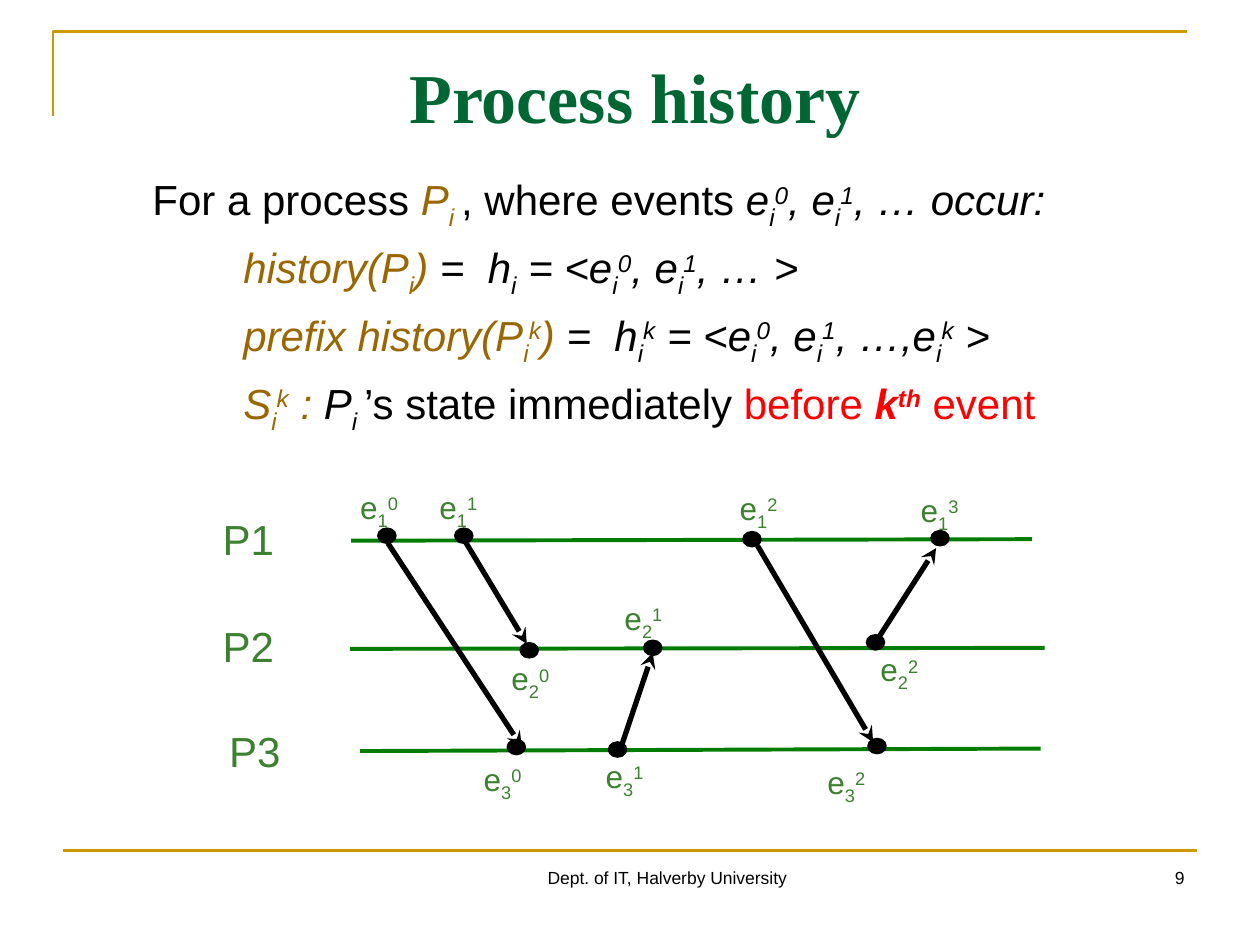
from itertools import groupby

from lxml.etree import SubElement
from pptx import Presentation
from pptx.dml.color import RGBColor
from pptx.enum.shapes import MSO_CONNECTOR, MSO_SHAPE
from pptx.enum.text import MSO_ANCHOR, MSO_AUTO_SIZE, PP_ALIGN
from pptx.oxml.ns import qn
from pptx.util import Cm, Pt

BLACK, RED, GOLD, BROWN = "000000", "FF0000", "CC9900", "996600"
TITLE_GREEN, LINE_GREEN, LABEL_GREEN = "006633", "037C03", "3B812F"
BASELINES = {"_": "-25000", "^": "28000"}

# Segments are (markup, colour, italic, bold); _ and ^ lower or raise the next character.
DEFINITIONS = [
    (0.71, [("For a process ", BLACK, False, False), ("P_i_ ", BROWN, True, False),
            (", where events ", BLACK, False, False),
            ("e_i^0, e_i^1, … occur:", BLACK, True, False)]),
    (2.54, [("history(P_i)", BROWN, True, False),
            (" =  h_i = <e_i^0, e_i^1, … >", BLACK, True, False)]),
    (2.54, [("prefix history(P_i^k)", BROWN, True, False),
            (" =  h_i^k = <e_i^0, e_i^1, …,e_i^k >", BLACK, True, False)]),
    (2.54, [("S_i^k : ", BROWN, True, False), ("P_i_ ", BLACK, True, False),
            ("’s state immediately ", BLACK, False, False),
            ("before ", RED, False, False), ("k^t^h", RED, True, True),
            (" event", RED, False, False)]),
]

# Diagram positions are in cm from the top left of the diagram.
PROCESSES = [  # name, label position, line start, line end
    ("P1", (0, 0.61), (2.84, 1.17), (16.56, 1.14)),
    ("P2", (0, 2.77), (2.82, 3.35), (16.82, 3.33)),
    ("P3", (0.13, 4.88), (3.02, 5.41), (16.74, 5.36)),
]
EVENTS = [  # name, dot centre, label position
    ("e_1^0", (3.56, 1.07), (2.77, 0)),
    ("e_1^1", (5.11, 1.07), (4.37, 0)),
    ("e_1^2", (10.92, 1.14), (10.42, 0.02)),
    ("e_1^3", (14.71, 1.12), (14.07, 0.05)),
    ("e_2^0", (6.43, 3.38), (5.82, 3.45)),
    ("e_2^1", (8.92, 3.33), (8.1, 2.23)),
    ("e_2^2", (13.41, 3.22), (13.26, 3.27)),
    ("e_3^0", (6.17, 5.33), (5.26, 5.48)),
    ("e_3^1", (8.21, 5.38), (7.72, 5.41)),
    ("e_3^2", (13.44, 5.31), (12.19, 5.54)),
]
MESSAGES = [
    ((3.58, 1.22), (6.28, 5.33)),
    ((5.11, 1.14), (6.38, 3.25)),
    ((8.28, 5.33), (8.92, 3.43)),
    ((13.39, 3.25), (14.63, 1.32)),
    ((11.03, 1.27), (13.36, 5.23)),
]


def rgb(value):
    return RGBColor.from_string(value)


def add_marked_runs(paragraph, markup, color, italic=False, bold=False):
    """Add runs, turning _x and ^x into subscript and superscript."""
    characters, level = [], ""
    for character in markup:
        if character in BASELINES:
            level = character
        else:
            characters.append((level, character))
            level = ""
    for level, group in groupby(characters, key=lambda item: item[0]):
        run = paragraph.add_run()
        run.text = "".join(character for _, character in group)
        run.font.color.rgb = rgb(color)
        run.font.italic = italic
        run.font.bold = bold
        if level:
            run.font._element.set("baseline", BASELINES[level])


def place(shape, box):
    shape.left, shape.top, shape.width, shape.height = box


def add_label(shapes, box, markup, size, color, align=PP_ALIGN.LEFT):
    text_frame = shapes.add_textbox(*box).text_frame
    text_frame.word_wrap = True
    paragraph = text_frame.paragraphs[0]
    paragraph.alignment = align
    paragraph.font.size = Pt(size)
    paragraph.font.name = "Arial"
    add_marked_runs(paragraph, markup, color)
    return paragraph


def add_line(shapes, start, end, color, width, arrow=False):
    line = shapes.add_connector(MSO_CONNECTOR.STRAIGHT, *start, *end)
    line.line.color.rgb = rgb(color)
    line.line.width = Pt(width)
    if arrow:
        SubElement(line.line._get_or_add_ln(), qn("a:tailEnd"), type="stealth")
    SubElement(line._element.spPr, qn("a:effectLst"))


def add_frame(slide, left, top, width, height):
    """Draw the corner rule at the top and the rule above the footer."""
    builder = slide.shapes.build_freeform(left, top + Cm(1.7))
    builder.add_line_segments([(left, top), (left + width, top)], close=False)
    corner = builder.convert_to_shape()
    corner.shadow.inherit = False
    corner.fill.background()
    corner.line.color.rgb = rgb(GOLD)
    corner.line.width = Pt(1.5)
    rule_left, rule_top = left + Cm(0.2), top + height
    add_line(slide.shapes, (rule_left, rule_top), (rule_left + width, rule_top), GOLD, 1.5)


def add_footer(slide, left, top, width, height):
    number_width = Cm(5.28)
    add_label(slide.shapes, (left, top, Cm(8.26), height),
              "Dept. of IT, Halverby University", 10, BLACK, PP_ALIGN.CENTER)
    add_label(slide.shapes, (left + width - number_width, top, number_width, height),
              "9", 10, BLACK, PP_ALIGN.RIGHT)


def fill_title(slide, *box):
    title = slide.shapes.title
    place(title, box)
    title.text_frame.text = "Process history"
    title.text_frame.auto_size = MSO_AUTO_SIZE.NONE
    title.text_frame.vertical_anchor = MSO_ANCHOR.BOTTOM
    paragraph = title.text_frame.paragraphs[0]
    paragraph.alignment = PP_ALIGN.CENTER
    paragraph.font.name = "Times New Roman"
    paragraph.font.size = Pt(40)
    paragraph.font.bold = True
    paragraph.font.color.rgb = rgb(TITLE_GREEN)


def fill_definitions(slide, *box):
    body = slide.placeholders[1]
    place(body, box)
    text_frame = body.text_frame
    text_frame.auto_size = MSO_AUTO_SIZE.NONE
    for index, (indent, segments) in enumerate(DEFINITIONS):
        paragraph = text_frame.add_paragraph() if index else text_frame.paragraphs[0]
        properties = paragraph._p.get_or_add_pPr()
        properties.set("marL", str(Cm(indent)))
        properties.set("indent", "0")
        SubElement(properties, qn("a:buNone"))
        paragraph.space_before = Pt(6)
        paragraph.font.name = "Arial"
        paragraph.font.size = Pt(24)
        for segment in segments:
            add_marked_runs(paragraph, *segment)


def add_event_diagram(slide, left, top):
    shapes = slide.shapes.add_group_shape().shapes
    dot_width, dot_height = Cm(0.36), Cm(0.3)

    def at(point):
        return left + Cm(point[0]), top + Cm(point[1])

    def add_name(position, size_box, markup, size, space_before):
        paragraph = add_label(shapes, (*at(position), *size_box), markup, size, LABEL_GREEN)
        paragraph.line_spacing = 0.9
        paragraph.space_before = Pt(space_before)

    for name, position, start, end in PROCESSES:
        add_line(shapes, at(start), at(end), LINE_GREEN, 2.25)
        add_name(position, (Cm(3.2), Cm(1.17)), name, 24, 15)
    for start, end in MESSAGES:
        add_line(shapes, at(start), at(end), BLACK, 3, arrow=True)
    for name, center, position in EVENTS:
        x, y = at(center)
        dot = shapes.add_shape(MSO_SHAPE.OVAL, x - dot_width // 2, y - dot_height // 2,
                               dot_width, dot_height)
        dot.shadow.inherit = False
        dot.fill.solid()
        dot.fill.fore_color.rgb = rgb(BLACK)
        dot.line.color.rgb = rgb(BLACK)
        dot.line.width = Pt(1)
        add_name(position, (Cm(1.55), Cm(1.04)), name, 18, 11.2)


def main():
    presentation = Presentation()
    presentation.slide_width, presentation.slide_height = Cm(25.4), Cm(19.05)
    slide = presentation.slides.add_slide(presentation.slide_layouts[1])
    add_frame(slide, Cm(1.07), Cm(0.64), Cm(22.86), Cm(16.51))
    add_footer(slide, Cm(9.32), Cm(17.35), Cm(14.81), Cm(1.27))
    fill_title(slide, Cm(1.7), Cm(1.12), Cm(22.2), Cm(1.78))
    fill_definitions(slide, Cm(2.11), Cm(3.38), Cm(21.41), Cm(5.79))
    add_event_diagram(slide, Cm(4.24), Cm(9.73))
    presentation.save("out.pptx")


if __name__ == "__main__":
    main()
